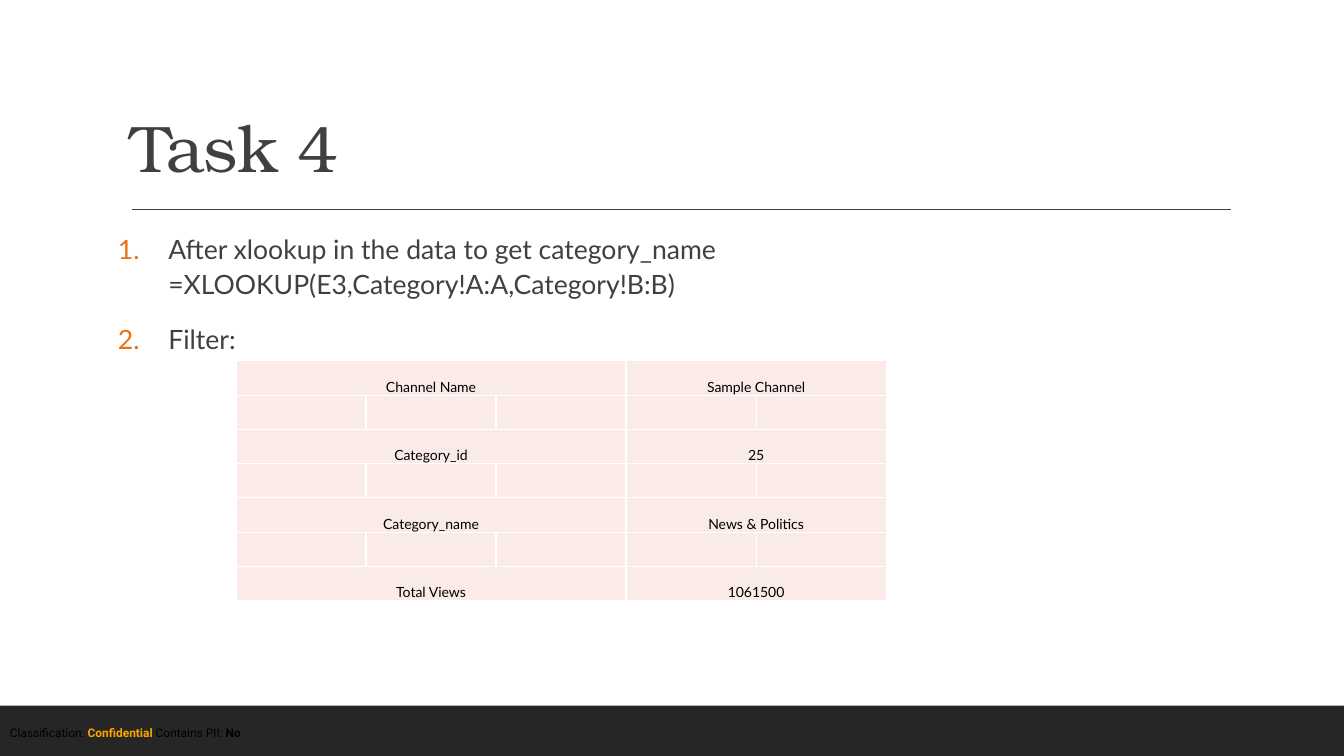
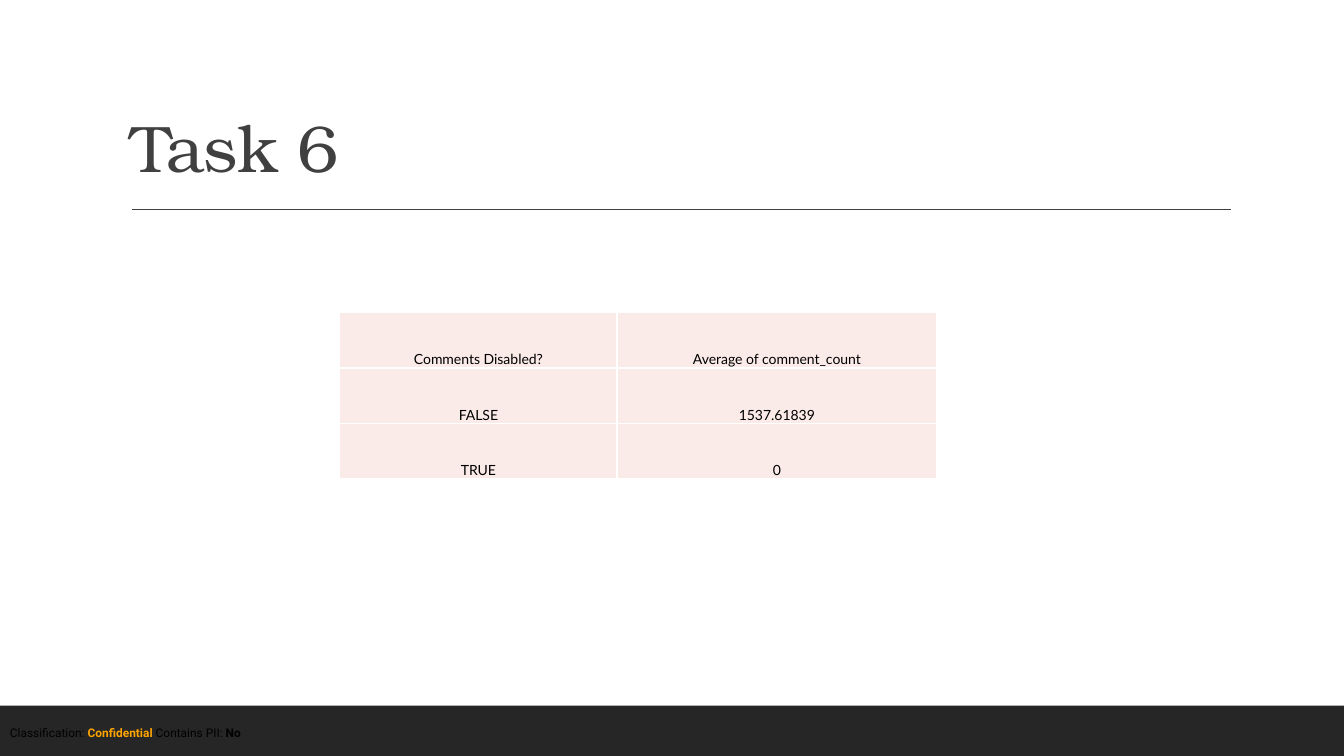
"""Build two task slides, each with a result table."""
from dataclasses import dataclass

from lxml import etree
from pptx import Presentation
from pptx import util as u
from pptx.dml.color import RGBColor
from pptx.enum import shapes, text
from pptx.oxml.ns import qn

INK = RGBColor(0x40, 0x40, 0x40)
BAND = RGBColor(0x26, 0x26, 0x26)
BLACK = RGBColor(0, 0, 0)
WHITE = RGBColor(0xFF, 0xFF, 0xFF)
AMBER = RGBColor(0xFF, 0xA5, 0x00)
RUST = RGBColor(0xEC, 0x70, 0x16)
BLUSH = RGBColor(0xFB, 0xEB, 0xE8)
HEAD, BODY, FOOT = "TeX Gyre Bonum", "Lato", "Roboto"
WIDE, HIGH = 13.33, 7.5


@dataclass(frozen=True)
class Part:
    words: str
    color: RGBColor = BLACK
    bold: bool = False


@dataclass(frozen=True)
class Grid:
    left: float
    top: float
    cols: tuple[float, ...]
    row: float
    spans: tuple[int, ...]
    rows: tuple[tuple[str, ...], ...]


@dataclass(frozen=True)
class Page:
    title: str
    grid: Grid
    steps: tuple[str, ...] = ()


FOOTER = (
    Part("Classification: "),
    Part("Confidential", AMBER, True),
    Part(" Contains PII: "),
    Part("No", bold=True),
)
PAGES = (
    Page(
        "Task 4",
        Grid(2.34, 3.58, (1.29,) * 5, 0.34, (3, 2), (
            ("Channel Name", "Sample Channel"),
            (),
            ("Category_id", "25"),
            (),
            ("Category_name", "News & Politics"),
            (),
            ("Total Views", "1061500"),
        )),
        (
            "After xlookup in the data to get category_name\v"
            "=XLOOKUP(E3,Category!A:A,Category!B:B)",
            "Filter:",
        ),
    ),
    Page(
        "Task 6",
        Grid(3.37, 3.1, (2.75, 3.17), 0.55, (1, 1), (
            ("Comments Disabled?", "Average of comment_count"),
            ("FALSE", "1537.61839"),
            ("TRUE", "0"),
        )),
    ),
)


def style(run, face: str, size: float, color: RGBColor, bold: bool = False) -> None:
    """Set the font of one run."""
    run.font.name = face
    run.font.size = u.Pt(size)
    run.font.color.rgb = color
    run.font.bold = bold


def add_box(slide, left: float, top: float, width: float, height: float):
    """Add a wrapping text box and return its frame."""
    box = slide.shapes.add_textbox(*map(u.Inches, (left, top, width, height)))
    box.text_frame.word_wrap = True
    return box.text_frame


def add_frame(slide) -> None:
    """Draw the band, title rule and footer that all slides share."""
    band = slide.shapes.add_shape(
        shapes.MSO_SHAPE.RECTANGLE, 0, u.Inches(7), u.Inches(WIDE), u.Inches(0.5))
    band.shadow.inherit = False
    band.fill.solid()
    band.fill.fore_color.rgb = BAND
    band.line.fill.background()
    rule = slide.shapes.add_connector(
        shapes.MSO_CONNECTOR.STRAIGHT, *map(u.Inches, (1.31, 2.08, 12.21, 2.08)))
    rule.line.color.rgb = INK
    rule.line.width = u.Pt(1)
    etree.SubElement(rule._element.spPr, qn("a:effectLst"))
    para = add_box(slide, 0, 7.15, WIDE, 0.24).paragraphs[0]
    for part in FOOTER:
        run = para.add_run()
        run.text = part.words
        style(run, FOOT, 8.5, part.color, part.bold)


def add_title(slide, title: str) -> None:
    """Write the slide title above the rule."""
    frame = add_box(slide, 1.2, 0.31, 11, 1.59)
    frame.vertical_anchor = text.MSO_ANCHOR.BOTTOM
    frame.text = title
    para = frame.paragraphs[0]
    para.line_spacing = 0.9
    style(para.runs[0], HEAD, 47, INK)
    para.runs[0].font._element.set("spc", "-50")


def add_steps(slide, steps: tuple[str, ...]) -> None:
    """Write a numbered list of steps."""
    frame = add_box(slide, 1.17, 2.23, 11, 4.11)
    frame.margin_left = frame.margin_right = 0
    frame.text = "\n".join(steps)
    for para in frame.paragraphs:
        para.line_spacing = 1.1
        para.space_before, para.space_after = u.Pt(12), u.Pt(2)
        props = para._p.get_or_add_pPr()
        props.set("marL", str(u.Inches(0.5)))
        props.set("indent", str(-u.Inches(0.5)))
        tint = etree.SubElement(props, qn("a:buClr"))
        etree.SubElement(tint, qn("a:srgbClr"), val=str(RUST))
        etree.SubElement(props, qn("a:buFont"), typeface="+mj-lt")
        etree.SubElement(props, qn("a:buAutoNum"), type="arabicPeriod")
        for run in para.runs:
            style(run, BODY, 19, INK)


def style_cell(cell) -> None:
    """Give a cell its margins, white borders and fill."""
    cell.margin_left = cell.margin_right = cell.margin_top = u.Inches(0.01)
    cell.margin_bottom = 0
    cell.vertical_anchor = text.MSO_ANCHOR.BOTTOM
    props = cell._tc.get_or_add_tcPr()
    for side in ("lnL", "lnR", "lnT", "lnB"):
        line = etree.SubElement(props, qn(f"a:{side}"), w=str(u.Pt(1)))
        fill = etree.SubElement(line, qn("a:solidFill"))
        etree.SubElement(fill, qn("a:srgbClr"), val=str(WHITE))
    cell.fill.solid()
    cell.fill.fore_color.rgb = BLUSH


def add_grid(slide, grid: Grid) -> None:
    """Draw a table, merging cells by span in the rows that hold words."""
    size = (grid.left, grid.top, sum(grid.cols), grid.row * len(grid.rows))
    table = slide.shapes.add_table(
        len(grid.rows), len(grid.cols), *map(u.Inches, size)).table
    table.first_row = table.horz_banding = False
    for col, width in zip(table.columns, grid.cols):
        col.width = u.Inches(width)
    for row in table.rows:
        row.height = u.Inches(grid.row)
    for cell in table.iter_cells():
        style_cell(cell)
    for y, row in enumerate(grid.rows):
        x = 0
        for words, span in zip(row, grid.spans):
            cell = table.cell(y, x)
            if span > 1:
                cell.merge(table.cell(y, x + span - 1))
            cell.text_frame.text = words
            para = cell.text_frame.paragraphs[0]
            para.alignment = text.PP_ALIGN.CENTER
            style(para.runs[0], BODY, 10, BLACK)
            x += span


def main() -> None:
    """Build and save the deck."""
    deck = Presentation()
    deck.slide_width, deck.slide_height = u.Inches(WIDE), u.Inches(HIGH)
    for page in PAGES:
        slide = deck.slides.add_slide(deck.slide_layouts[6])
        add_frame(slide)
        add_title(slide, page.title)
        if page.steps:
            add_steps(slide, page.steps)
        add_grid(slide, page.grid)
    deck.save("out.pptx")


if __name__ == "__main__":
    main()
